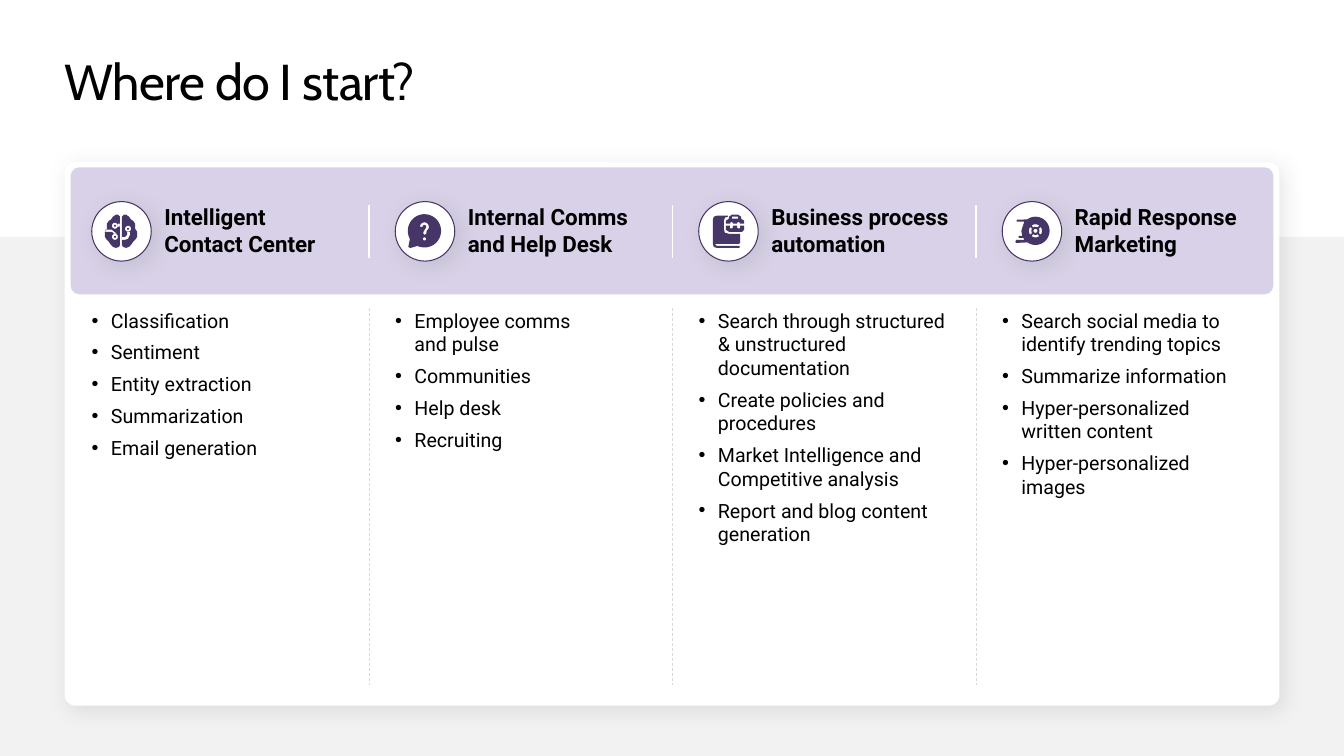
"""Build the "Where do I start?" slide with four use-case columns."""
from copy import deepcopy
from dataclasses import dataclass
from math import cos, radians, sin

from lxml import etree
from pptx import Presentation
from pptx import util as u
from pptx.dml.color import RGBColor
from pptx.enum import dml, shapes, text
from pptx.oxml import ns

PX = 9144
COLUMN_LEFT, COLUMN_STEP = 91, 301


@dataclass(frozen=True)
class Theme:
    """Colours, fonts and type sizes."""
    black: str = "000000"
    white: str = "FFFFFF"
    backdrop: str = "F2F2F2"
    band: str = "D8D1E7"
    accent: str = "463668"
    divider: str = "D9D9D9"
    shadow: str = "808080"
    title_font: str = "Cabin"
    body_font: str = "Roboto"
    title_size: int = 36
    heading_size: int = 16
    list_size: int = 14


def write(frame, lines, font, size, color, bold=False, after=0, indent=0, tracking=0):
    """Fill a text frame with one formatted paragraph per line."""
    frame.margin_left = frame.margin_top = frame.margin_right = frame.margin_bottom = 0
    frame.word_wrap = True
    frame.auto_size = text.MSO_AUTO_SIZE.NONE
    frame.vertical_anchor = text.MSO_ANCHOR.TOP
    for index, line in enumerate(lines):
        paragraph = frame.add_paragraph() if index else frame.paragraphs[0]
        paragraph.text = line
        if indent:
            properties = paragraph._p.get_or_add_pPr()
            properties.set("marL", str(indent * PX))
            properties.set("indent", str(-indent * PX))
            etree.SubElement(properties, ns.qn("a:buChar"), char="•")
        paragraph.alignment = text.PP_ALIGN.LEFT
        paragraph.line_spacing = 1.0
        paragraph.space_before, paragraph.space_after = u.Pt(0), u.Pt(after)
        for run in paragraph.runs:
            run.font.name, run.font.size, run.font.bold = font, u.Pt(size), bold
            run.font.color.rgb = RGBColor.from_string(color)
            if tracking:
                run._r.get_or_add_rPr().set("spc", str(tracking))
        for line_break in paragraph._p.findall(ns.qn("a:br")):
            line_break.append(deepcopy(paragraph.runs[0]._r.rPr))


def arc(x, y, radius, start=0, end=360, steps=24):
    """Return points along an arc, with angles clockwise in degrees."""
    angles = [radians(start + (end - start) * step / steps) for step in range(steps + 1)]
    return [(x + radius * cos(angle), y + radius * sin(angle)) for angle in angles]


class SlideBuilder:
    """Draws elements on one slide in a given theme."""

    def __init__(self, slide, theme):
        self.slide, self.theme = slide, theme

    def paint(self, shape, fill, line=None, shadow=False):
        """Set fill, outline and shadow of a shape."""
        shape.fill.solid()
        shape.fill.fore_color.rgb = RGBColor.from_string(fill)
        if line:
            shape.line.color.rgb = RGBColor.from_string(line)
            shape.line.width = u.Pt(0.75)
        else:
            shape.line.fill.background()
        shape.shadow.inherit = False
        if shadow:
            effects = shape.element.spPr.find(ns.qn("a:effectLst"))
            outer = etree.SubElement(effects, ns.qn("a:outerShdw"), blurRad=str(u.Pt(15)),
                                     dist=str(u.Pt(5)), dir=str(45 * 60000), algn="tl", rotWithShape="0")
            color = etree.SubElement(outer, ns.qn("a:srgbClr"), val=self.theme.shadow)
            etree.SubElement(color, ns.qn("a:alpha"), val="20000")

    def preset(self, kind, box, fill, corner=None, **style):
        """Add a preset shape."""
        shape = self.slide.shapes.add_shape(kind, *(side * PX for side in box))
        if corner is not None:
            shape.adjustments[0] = corner
        self.paint(shape, fill, **style)

    def divider(self, x, top, bottom, color, width, dashed=False):
        """Add a vertical line."""
        line = self.slide.shapes.add_connector(
            shapes.MSO_CONNECTOR.STRAIGHT, x * PX, top * PX, x * PX, bottom * PX)
        line.line.color.rgb = RGBColor.from_string(color)
        line.line.width = u.Pt(width)
        if dashed:
            line.line.dash_style = dml.MSO_LINE.DASH
        etree.SubElement(line.element.spPr, ns.qn("a:effectLst"))

    def icon(self, left, top, contours):
        """Add an outline whose inner contours are holes."""
        placed = [[((left + x) * PX, (top + y) * PX) for x, y in contour] for contour in contours]
        builder = self.slide.shapes.build_freeform(*placed[0][0])
        for index, contour in enumerate(placed):
            if index:
                builder.move_to(*contour[0])
            builder.add_line_segments(contour[1:], close=True)
        self.paint(builder.convert_to_shape(), self.theme.accent)

    def label(self, box, line, **style):
        """Add a text box."""
        shape = self.slide.shapes.add_textbox(*(side * PX for side in box))
        write(shape.text_frame, [line], **style)

    def placeholder(self, shape, box, lines, **style):
        """Move a placeholder to the front, place it and fill it."""
        shape.left, shape.top, shape.width, shape.height = (side * PX for side in box)
        shape.element.getparent().append(shape.element)
        write(shape.text_frame, lines, **style)


def build_icons():
    """Return the contours of the brain, question, briefcase and wheel icons."""
    half = [(26, 13), (28, 15), (28, 43), (27, 45), (24, 46), (21, 45), (19, 43), (17, 40), (15, 38),
            (13, 35), (13, 30), (15, 27), (15, 22), (17, 19), (19, 18), (21, 15), (24, 13)]
    nodes = [arc(x, y, radius) for x, y in ((23, 24), (23, 35), (36, 27)) for radius in (3, 1)]
    brain = [half, [(58 - x, y) for x, y in half], *nodes,
             [(14, 28), (20, 28), (25, 32), (22, 32), (20, 30), (13, 30)],
             [(26, 22), (28, 22), (28, 25), (26, 25)],
             [(30, 35), (33, 35), (35, 33), (35, 30), (38, 30), (38, 33), (36, 37), (33, 38), (30, 38)]]
    question = [arc(29, 29, 16.5, 151, 475, 48) + [(15, 46), (13, 45)],
                arc(29, 25, 4.4, 180, 410) + [(31, 30), (31, 32), (29, 33), (28, 32), (28, 30)]
                + arc(29, 25, 1.8, 410, 180), arc(29, 37, 1.6)]
    briefcase = [
        [(29, 14), (18, 14), (15, 15), (14, 18), (14, 42), (15, 45), (18, 46), (40, 46), (41, 45),
         (40, 44), (18, 44), (16, 42), (40, 42), (41, 41), (41, 32), (30, 32), (26, 31), (25, 28),
         (25, 19), (26, 16), (29, 15)],
        [(27, 22), (27, 19), (30, 17), (30, 15), (33, 13), (39, 13), (42, 15), (42, 17), (45, 19),
         (45, 22), (41, 22), (40, 20), (38, 21), (38, 22), (34, 22), (34, 21), (32, 20), (31, 22)],
        [(33, 15), (39, 15), (39, 17), (33, 17)],
        [(27, 24), (31, 24), (31, 26), (32, 27), (34, 26), (34, 24), (38, 24), (38, 26), (40, 27),
         (41, 26), (41, 24), (45, 24), (45, 28), (43, 30), (30, 30), (27, 28)]]
    wheel = [arc(33, 29, 14, -126, 125, 40)
             + [(14, 41), (13, 40), (14, 38), (22, 38), (21, 36), (17, 36), (16, 35), (17, 34), (20, 34),
                (19, 29), (22, 20), (15, 20), (14, 19), (15, 18)], arc(33, 29, 2)]
    wheel += [arc(33, 29, 6.5, angle - 35, angle + 35) + arc(33, 29, 4, angle + 35, angle - 35)
              for angle in range(0, 360, 90)]
    return [brain, question, briefcase, wheel]


COLUMNS = [
    ("Intelligent Contact Center", 151,
     ["Classification", "Sentiment", "Entity extraction", "Summarization", "Email generation"]),
    ("Internal Comms and Help Desk", 143,
     ["Employee comms\nand pulse", "Communities", "Help desk", "Recruiting"]),
    ("Business process automation", 237,
     ["Search through structured & unstructured documentation", "Create policies and procedures",
      "Market Intelligence and Competitive analysis", "Report and blog content generation"]),
    ("Rapid Response Marketing", 190,
     ["Search social media to identify trending topics", "Summarize information",
      "Hyper-personalized written content", "Hyper-personalized images"]),
]


def main():
    """Build and save the presentation."""
    presentation = Presentation()
    presentation.slide_width, presentation.slide_height = 1333 * PX, 750 * PX
    slide = presentation.slides.add_slide(presentation.slide_layouts.get_by_name("Comparison"))
    title, *lists = list(slide.placeholders)
    theme = Theme()
    builder = SlideBuilder(slide, theme)
    kinds = shapes.MSO_SHAPE
    builder.preset(kinds.RECTANGLE, (0, 235, 1333, 515), theme.backdrop)
    builder.preset(kinds.ROUNDED_RECTANGLE, (64, 161, 1205, 539), theme.white, corner=0.02, shadow=True)
    builder.preset(kinds.ROUNDED_RECTANGLE, (70, 166, 1193, 126), theme.band, corner=0.07)
    builder.placeholder(title, (64, 50, 1205, 61), ["Where do I start?"], font=theme.title_font,
                        size=theme.title_size, color=theme.black, tracking=-50)
    for index, (column, icon, body) in enumerate(zip(COLUMNS, build_icons(), lists)):
        heading, height, items = column
        left = COLUMN_LEFT + index * COLUMN_STEP
        if index:
            builder.divider(left - 26, 203, 256, theme.white, 1)
            builder.divider(left - 26, 306, 680, theme.divider, 0.5, dashed=True)
        builder.preset(kinds.OVAL, (left, 200, 59, 59), theme.white, line=theme.accent, shadow=True)
        builder.icon(left, 200, icon)
        builder.label((left + 72, 202, 177, 54), heading, font=theme.body_font,
                      size=theme.heading_size, color=theme.black, bold=True)
        builder.placeholder(body, (left, 306, 249, height), items, font=theme.body_font,
                            size=theme.list_size, color=theme.black, after=6, indent=19)
    presentation.save("out.pptx")


if __name__ == "__main__":
    main()
